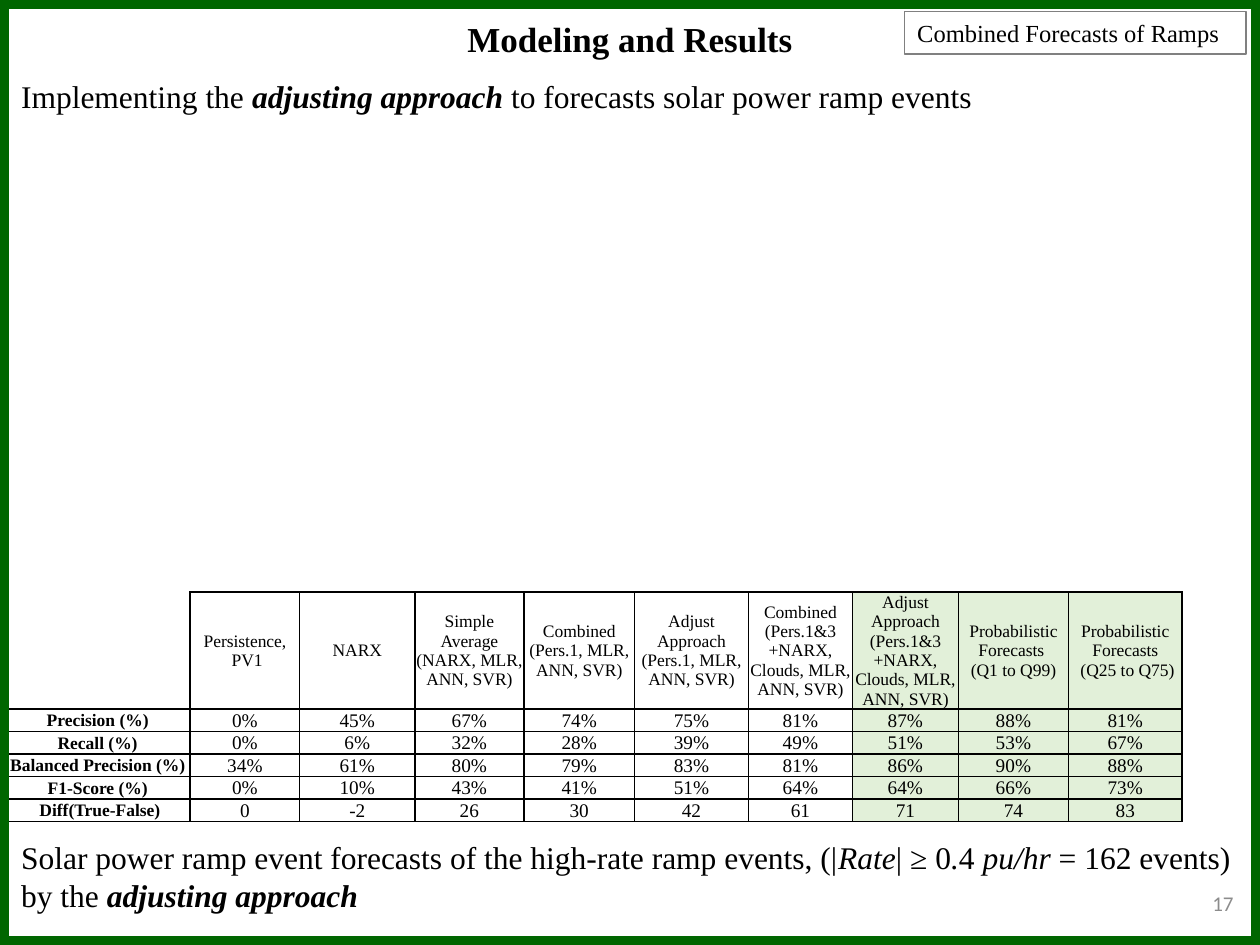
from lxml.etree import SubElement
from pptx import Presentation
from pptx.dml.color import RGBColor
from pptx.enum.shapes import MSO_SHAPE
from pptx.enum.text import MSO_ANCHOR, PP_ALIGN
from pptx.oxml.ns import qn
from pptx.util import Pt

COLORS = {
    "black": "000000",
    "highlight": "E2F0D9",
    "frame": "006600",
    "label line": "808080",
    "page number": "8C8C8C",
}


def write_text(frame, segments, size=18, font="Times New Roman", color="black",
               bold=False, align=PP_ALIGN.LEFT, anchor=MSO_ANCHOR.TOP, wrap=True):
    """Write (text, style) segments as one paragraph; style may hold "b" and "i"."""
    if isinstance(segments, str):
        segments = [(segments, "")]
    frame.word_wrap = wrap
    frame.vertical_anchor = anchor
    paragraph = frame.paragraphs[0]
    paragraph.alignment = align
    for text, style in segments:
        for index, line in enumerate(text.split("\n")):
            if index:
                paragraph.add_line_break()
            run = paragraph.add_run()
            run.text = line
            run.font.name = font
            run.font.size = Pt(size)
            run.font.bold = bold or "b" in style
            run.font.italic = "i" in style
            run.font.color.rgb = RGBColor.from_string(COLORS[color])


def set_borders(cell, visible_sides):
    properties = cell._tc.get_or_add_tcPr()
    for position, side in enumerate("LRTB"):
        line = properties.makeelement(qn(f"a:ln{side}"), {"w": str(Pt(1))})
        properties.insert(position, line)
        if side in visible_sides:
            fill = SubElement(line, qn("a:solidFill"))
            SubElement(fill, qn("a:srgbClr"), val=COLORS["black"])
        else:
            SubElement(line, qn("a:noFill"))


presentation = Presentation()
presentation.slide_width = Pt(720)
presentation.slide_height = Pt(540)
slide = presentation.slides.add_slide(presentation.slide_layouts[5])
shapes = slide.shapes

# Title
title = shapes.title
title.left, title.top, title.width, title.height = Pt(259), Pt(6.5), Pt(202), Pt(31.5)
write_text(title.text_frame, "Modeling and Results", size=20, bold=True,
           align=PP_ALIGN.CENTER, wrap=False)

# Results table
headers = [
    "", "Persistence,\n PV1", "NARX", "Simple Average (NARX, MLR, ANN, SVR)",
    "Combined (Pers.1, MLR, ANN, SVR)", "Adjust Approach (Pers.1, MLR, ANN, SVR)",
    "Combined (Pers.1&3 +NARX, Clouds, MLR, ANN, SVR)",
    "Adjust Approach (Pers.1&3 +NARX, Clouds, MLR, ANN, SVR)",
    "Probabilistic Forecasts \n(Q1 to Q99)", "Probabilistic Forecasts\n (Q25 to Q75)",
]
results = [
    ["Precision (%)", "0%", "45%", "67%", "74%", "75%", "81%", "87%", "88%", "81%"],
    ["Recall (%)", "0%", "6%", "32%", "28%", "39%", "49%", "51%", "53%", "67%"],
    ["Balanced Precision (%)", "34%", "61%", "80%", "79%", "83%", "81%", "86%", "90%", "88%"],
    ["F1-Score (%)", "0%", "10%", "43%", "41%", "51%", "64%", "64%", "66%", "73%"],
    [" Diff(True-False)", "0", "-2", "26", "30", "42", "61", "71", "74", "83"],
]
rows = [headers] + results
column_widths = [105.8, 62.6, 65.8, 62.3, 63.3, 65, 59.5, 60.5, 63, 64.8]
row_heights = [66.9] + [12.85] * len(results)
first_highlighted_column = 7

table = shapes.add_table(len(rows), len(headers), Pt(2.9), Pt(338.3),
                         Pt(sum(column_widths)), Pt(sum(row_heights))).table
table.first_row = False
table.horz_banding = False
for column, width in zip(table.columns, column_widths):
    column.width = Pt(width)
for row, height in zip(table.rows, row_heights):
    row.height = Pt(height)

for row_index, row in enumerate(rows):
    for column_index, text in enumerate(row):
        cell = table.cell(row_index, column_index)
        cell.margin_left = cell.margin_right = cell.margin_top = Pt(0.5)
        cell.margin_bottom = Pt(0)
        cell.vertical_anchor = MSO_ANCHOR.MIDDLE
        if column_index >= first_highlighted_column:
            cell.fill.solid()
            cell.fill.fore_color.rgb = RGBColor.from_string(COLORS["highlight"])
        else:
            cell.fill.background()
        is_label = row_index == 0 or column_index == 0
        write_text(cell.text_frame, text, size=10 if is_label else 11,
                   bold=column_index == 0, align=PP_ALIGN.CENTER)
        set_borders(cell, "LRTB" if row_index or column_index else "RB")

# Page number
page_number = shapes.add_textbox(Pt(630), Pt(500.5), Pt(82), Pt(31.5))
write_text(page_number.text_frame, "17", size=12, font="Calibri", color="page number",
           align=PP_ALIGN.RIGHT, anchor=MSO_ANCHOR.MIDDLE)

# Section label
label = shapes.add_shape(MSO_SHAPE.RECTANGLE, Pt(517), Pt(6.5), Pt(195), Pt(24.5))
label.shadow.inherit = False
label.fill.background()
label.line.color.rgb = RGBColor.from_string(COLORS["label line"])
label.line.width = Pt(0.75)
write_text(label.text_frame, "Combined Forecasts of Ramps", size=14)

# Statements above and below the table
conclusion = shapes.add_textbox(Pt(5), Pt(475.2), Pt(707), Pt(51))
write_text(conclusion.text_frame, [
    ("Solar power ramp event forecasts of the high-rate ramp events, (|", ""),
    ("Rate", "i"),
    ("| ≥ 0", ""),
    (".", "i"),
    ("4 ", ""),
    ("pu/hr ", "i"),
    ("= 162 events) by the ", ""),
    ("adjusting approach", "bi"),
])
introduction = shapes.add_textbox(Pt(5), Pt(40.5), Pt(572), Pt(24.5))
write_text(introduction.text_frame, [
    ("Implementing the", ""),
    (" adjusting approach ", "bi"),
    ("to forecasts solar power ramp events", ""),
])

# Slide frame
slide_frame = shapes.add_shape(MSO_SHAPE.RECTANGLE, 0, 0, Pt(720), Pt(540))
slide_frame.shadow.inherit = False
slide_frame.fill.background()
slide_frame.line.color.rgb = RGBColor.from_string(COLORS["frame"])
slide_frame.line.width = Pt(10)

presentation.save("out.pptx")
